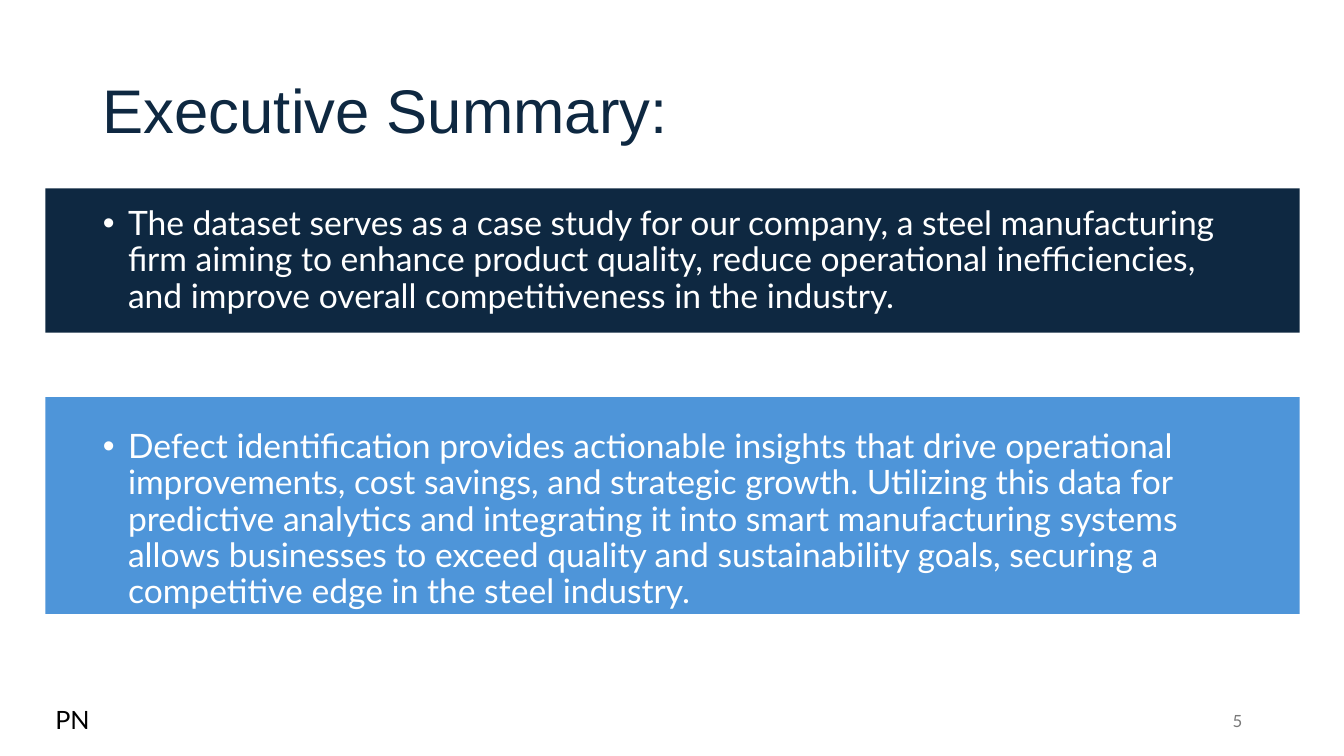
import pptx
import pptx.util
import pptx.dml.color
import pptx.enum.shapes
import pptx.enum.text
import lxml.etree
from pptx.util import Inches

COLORS = {
    "navy": "0E2841",
    "blue": "4E95D9",
    "white": "FFFFFF",
    "grey": "797979",
    "black": "000000",
}
ALIGN = pptx.enum.text.PP_ALIGN
ANCHOR = pptx.enum.text.MSO_ANCHOR


def rgb(name):
    return pptx.dml.color.RGBColor.from_string(COLORS[name])


def set_text(frame, text, size, color, font, align=ALIGN.LEFT):
    frame.word_wrap = True
    paragraph = frame.paragraphs[0]
    paragraph.text = text
    paragraph.alignment = align
    run_font = paragraph.runs[0].font
    run_font.size = pptx.util.Pt(size)
    run_font.name = font
    run_font.color.rgb = rgb(color)
    return paragraph


presentation = pptx.Presentation()
presentation.slide_width = Inches(13.33)
presentation.slide_height = Inches(7.5)
slide = presentation.slides.add_slide(presentation.slide_layouts[5])

title = slide.shapes.title
title.left, title.top = Inches(0.92), Inches(0.4)
title.width, title.height = Inches(11.5), Inches(1.45)
title.text_frame.vertical_anchor = ANCHOR.MIDDLE
heading = set_text(title.text_frame, "Executive Summary:", 44, "navy", "Arial")
heading.line_spacing = 0.9

summary_points = [
    (1.87, 1.43, 0.18, "navy",
     "The dataset serves as a case study for our company, a steel manufacturing "
     "firm aiming to enhance product quality, reduce operational inefficiencies, "
     "and improve overall competitiveness in the industry."),
    (3.94, 2.15, 0.32, "blue",
     "Defect identification provides actionable insights that drive operational "
     "improvements, cost savings, and strategic growth. Utilizing this data for "
     "predictive analytics and integrating it into smart manufacturing systems "
     "allows businesses to exceed quality and sustainability goals, securing a "
     "competitive edge in the steel industry."),
]
for top, height, inset, color, text in summary_points:
    panel = slide.shapes.add_shape(
        pptx.enum.shapes.MSO_SHAPE.RECTANGLE,
        Inches(0.45), Inches(top), Inches(12.44), Inches(height))
    panel.shadow.inherit = False
    panel.fill.solid()
    panel.fill.fore_color.rgb = rgb(color)
    panel.line.fill.background()
    frame = panel.text_frame
    frame.vertical_anchor = ANCHOR.TOP
    frame.margin_left = frame.margin_right = Inches(0.57)
    frame.margin_top, frame.margin_bottom = Inches(inset), 0
    point = set_text(frame, text, 24, "white", "Lato")
    point.line_spacing = 0.9
    properties = point._p.get_or_add_pPr()
    properties.set("marL", str(Inches(0.25)))
    properties.set("indent", str(Inches(-0.25)))
    for tag, key, value in [("buFont", "typeface", "Arial"), ("buChar", "char", "•")]:
        bullet = lxml.etree.SubElement(properties, pptx.oxml.ns.qn("a:" + tag))
        bullet.set(key, value)

footers = [
    (9.42, 6.95, 3, "5", 12, "grey", ALIGN.RIGHT, ANCHOR.MIDDLE),
    (0.45, 6.94, 0.82, "PN", 18, "black", ALIGN.LEFT, ANCHOR.TOP),
]
for left, top, width, text, size, color, align, anchor in footers:
    footer = slide.shapes.add_textbox(
        Inches(left), Inches(top), Inches(width), Inches(0.4))
    footer.text_frame.vertical_anchor = anchor
    set_text(footer.text_frame, text, size, color, "Lato", align)

presentation.save("out.pptx")
